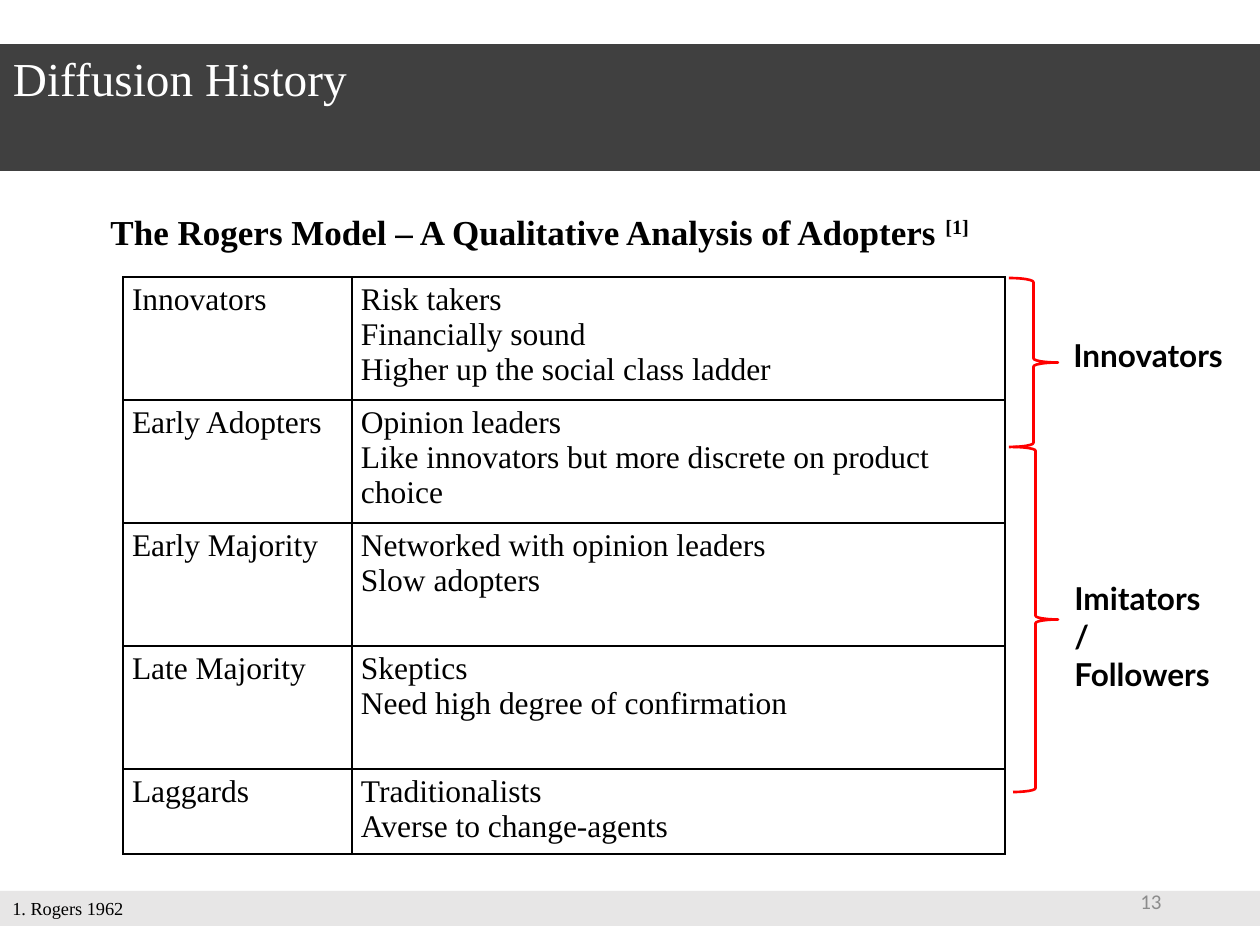
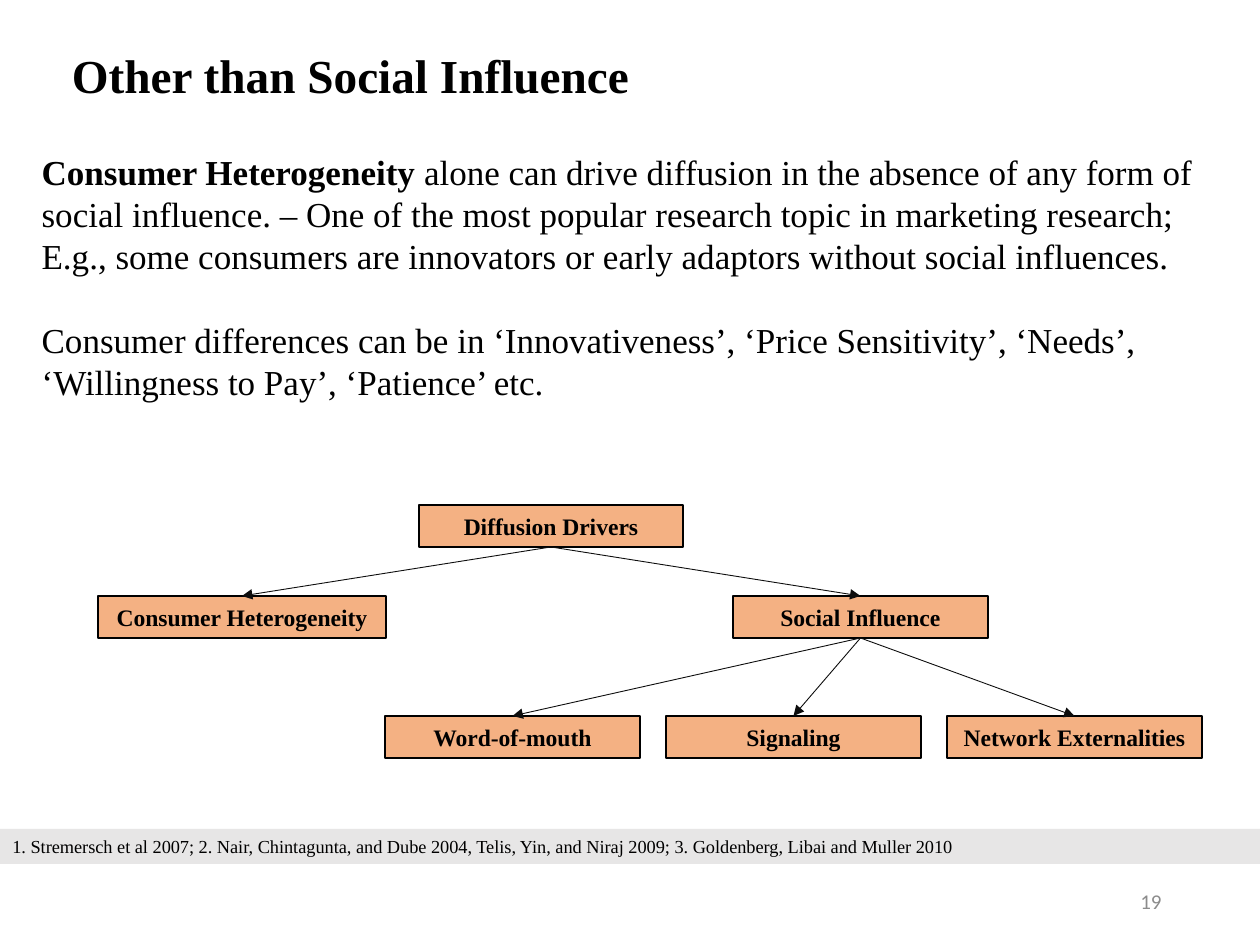
from dataclasses import dataclass

from lxml.etree import SubElement
from pptx import Presentation
from pptx.dml.color import RGBColor
from pptx.enum.shapes import MSO_CONNECTOR, MSO_SHAPE
from pptx.enum.text import MSO_ANCHOR, MSO_AUTO_SIZE, PP_ALIGN
from pptx.oxml.ns import qn
from pptx.util import Pt


@dataclass(frozen=True)
class Theme:
    serif: str = "Times New Roman"
    sans: str = "Calibri"
    label: str = "Lato"
    black: str = "000000"
    white: str = "FFFFFF"
    band: str = "404040"
    bar: str = "E7E6E6"
    node: str = "F4B183"
    arrow: str = "0D0D0D"
    brace: str = "FF0000"
    muted: str = "8C8C8C"
    title: float = 27
    lead: float = 20
    cell: float = 18
    box: float = 13.5
    page: float = 12
    note: float = 10.5


THEME = Theme()
WIDTH, HEIGHT = 1260, 945
BAR = 35

ROWS = [
    ("Innovators", ["Risk takers", "Financially sound", "Higher up the social class ladder"]),
    ("Early Adopters", ["Opinion leaders", "Like innovators but more discrete on product choice"]),
    ("Early Majority", ["Networked with opinion leaders", "Slow adopters"]),
    ("Late Majority", ["Skeptics", "Need high degree of confirmation"]),
    ("Laggards", ["Traditionalists", "Averse to change-agents"]),
]
HETERO = (
    "alone can drive diffusion in the absence of any form of social influence. – One of the most "
    "popular research topic in marketing research; E.g., some consumers are innovators or early "
    "adaptors without social influences."
)
DIFFER = (
    "Consumer differences can be in ‘Innovativeness’, ‘Price Sensitivity’, ‘Needs’, "
    "‘Willingness to Pay’, ‘Patience’ etc."
)
SOURCES = (
    "1. Stremersch et al 2007; 2. Nair, Chintagunta, and Dube 2004, Telis, Yin, and Niraj 2009; "
    "3. Goldenberg, Libai and Muller 2010"
)


def px(count):
    return round(count * 914400 / 126)


def scale(box):
    return [px(part) for part in box]


def rgb(code):
    return RGBColor.from_string(code)


def style(para, size, face=THEME.serif, color=THEME.black, bold=False, align=PP_ALIGN.LEFT, pitch=None):
    para.alignment = align
    para.line_spacing = Pt(pitch) if pitch else 1.0
    font = para.font
    font.size, font.name, font.bold = Pt(size), face, bold
    font.color.rgb = rgb(color)


def frame(shape, anchor=MSO_ANCHOR.TOP):
    text = shape.text_frame
    text.word_wrap = True
    text.auto_size = MSO_AUTO_SIZE.NONE
    text.vertical_anchor = anchor
    return text


def place(shape, box):
    shape.left, shape.top, shape.width, shape.height = scale(box)


def write(slide, box, words, size, anchor=MSO_ANCHOR.TOP, **look):
    text = frame(slide.shapes.add_textbox(*scale(box)), anchor)
    para = text.paragraphs[0]
    para.text = words
    style(para, size, **look)
    return para


def panel(slide, box, words, fill, size, line=None, **look):
    shape = slide.shapes.add_shape(MSO_SHAPE.RECTANGLE, *scale(box))
    shape.shadow.inherit = False
    shape.fill.solid()
    shape.fill.fore_color.rgb = rgb(fill)
    if line:
        shape.line.color.rgb = rgb(line)
        shape.line.width = Pt(0.75)
    else:
        shape.line.fill.background()
    para = frame(shape, MSO_ANCHOR.MIDDLE).paragraphs[0]
    para.text = words
    style(para, size, **look)
    return shape


def head(slide, box, words, color, bold=False, inset=13):
    title = slide.shapes.title
    place(title, box)
    text = frame(title)
    text.margin_left = px(inset)
    text.text = words
    style(text.paragraphs[0], THEME.title, color=color, bold=bold, pitch=32)
    return title


def foot(slide, top, words, page):
    panel(slide, (0, top, WIDTH, BAR), words, THEME.bar, THEME.note)
    write(slide, (890, 876, 284, 50), page, THEME.page, MSO_ANCHOR.MIDDLE,
          face=THEME.sans, color=THEME.muted, align=PP_ALIGN.RIGHT)


def edge(cell):
    props = cell._tc.get_or_add_tcPr()
    for spot, side in enumerate(("lnL", "lnR", "lnT", "lnB")):
        line = props.makeelement(qn(f"a:{side}"), {"w": str(Pt(1))})
        fill = SubElement(line, qn("a:solidFill"))
        SubElement(fill, qn("a:srgbClr"), val=THEME.black)
        props.insert(spot, line)


def fill_cell(cell, lines):
    cell.margin_left = cell.margin_right = px(9)
    cell.margin_top = cell.margin_bottom = px(5)
    cell.fill.background()
    edge(cell)
    cell.text = "\n".join(lines)
    for para in cell.text_frame.paragraphs:
        style(para, THEME.cell, pitch=20)


def grid(slide, box):
    width, height = box[2:]
    table = slide.shapes.add_table(len(ROWS), 2, *scale(box)).table
    table.first_row = table.horz_banding = False
    first, last = 229, 85
    step = (height - last) // (len(ROWS) - 1)
    table.columns[0].width = px(first)
    table.columns[1].width = px(width - first)
    for spot, (group, traits) in enumerate(ROWS):
        table.rows[spot].height = px(last if spot == len(ROWS) - 1 else step)
        fill_cell(table.cell(spot, 0), [group])
        fill_cell(table.cell(spot, 1), traits)


def group(slide, box, words, label):
    brace = slide.shapes.add_shape(MSO_SHAPE.RIGHT_BRACE, *scale(box))
    brace.shadow.inherit = False
    brace.fill.background()
    brace.line.color.rgb = rgb(THEME.brace)
    brace.line.width = Pt(1.5)
    left, top = box[:2]
    shift, drop, width, height = label
    write(slide, (left + shift, top + drop, width, height), words, THEME.cell,
          face=THEME.label, bold=True)


def link(slide, start, end):
    line = slide.shapes.add_connector(MSO_CONNECTOR.STRAIGHT, 0, 0, 0, 0)
    line.begin_connect(start, 2)
    line.end_connect(end, 0)
    line.line.color.rgb = rgb(THEME.arrow)
    line.line.width = Pt(0.5)
    SubElement(line.line._get_or_add_ln(), qn("a:tailEnd"), type="triangle")
    SubElement(line._element.spPr, qn("a:effectLst"))


def tree(slide, box):
    left, top = box[:2]

    def node(words, x, y, width):
        return panel(slide, (left + x, top + y, width, 42), words, THEME.node, THEME.box,
                     line=THEME.black, bold=True, align=PP_ALIGN.CENTER)

    root = node("Diffusion Drivers", 321, 0, 264)
    hetero = node("Consumer Heterogeneity", 0, 91, 288)
    social = node("Social Influence", 635, 91, 255)
    names = ("Word-of-mouth", "Signaling", "Network Externalities")
    leaves = [node(name, 287 + 281 * spot, 211, 255) for spot, name in enumerate(names)]
    for end in (hetero, social):
        link(slide, root, end)
    for leaf in leaves:
        link(slide, social, leaf)


def prose(slide, box):
    body = slide.placeholders[1]
    place(body, box)
    text = frame(body)
    first = text.paragraphs[0]
    lead = first.add_run()
    lead.text = "Consumer Heterogeneity "
    lead.font.bold = True
    first.add_run().text = HETERO
    second = text.add_paragraph()
    second.text = DIFFER
    for para, gap in ((first, 0), (second, 24)):
        style(para, THEME.lead, pitch=24)
        para.space_before = Pt(gap)
        props = para._p.get_or_add_pPr()
        props.set("marL", "0")
        props.set("indent", "0")
        bullet = props.makeelement(qn("a:buNone"), {})
        props.append(bullet)


def history(deck):
    slide = deck.slides.add_slide(deck.slide_layouts[5])
    title = head(slide, (0, 44, WIDTH, 127), "Diffusion History", THEME.white)
    title.fill.solid()
    title.fill.fore_color.rgb = rgb(THEME.band)
    grid(slide, (123, 277, 882, 577))
    para = write(slide, (98, 204, 1041, 60), "The Rogers Model – A Qualitative Analysis of Adopters ",
                 THEME.lead, bold=True, pitch=24)
    mark = para.add_run()
    mark.text = "[1]"
    mark.font._element.set("baseline", "30000")
    foot(slide, 891, "1. Rogers 1962", "13")
    group(slide, (1009, 278, 49, 169), "Innovators", (52, 52, 187, 50))
    group(slide, (1013, 447, 45, 345), "Imitators/Followers", (49, 126, 165, 90))


def drivers(deck):
    slide = deck.slides.add_slide(deck.slide_layouts[1])
    head(slide, (0, 41, WIDTH, 71), "Other than Social Influence", THEME.black, True, 72)
    prose(slide, (29, 144, 1203, 267))
    foot(slide, 829, SOURCES, "19")
    tree(slide, (98, 505, 1104, 253))


def main():
    deck = Presentation()
    deck.slide_width, deck.slide_height = px(WIDTH), px(HEIGHT)
    history(deck)
    drivers(deck)
    deck.save("out.pptx")


if __name__ == "__main__":
    main()
